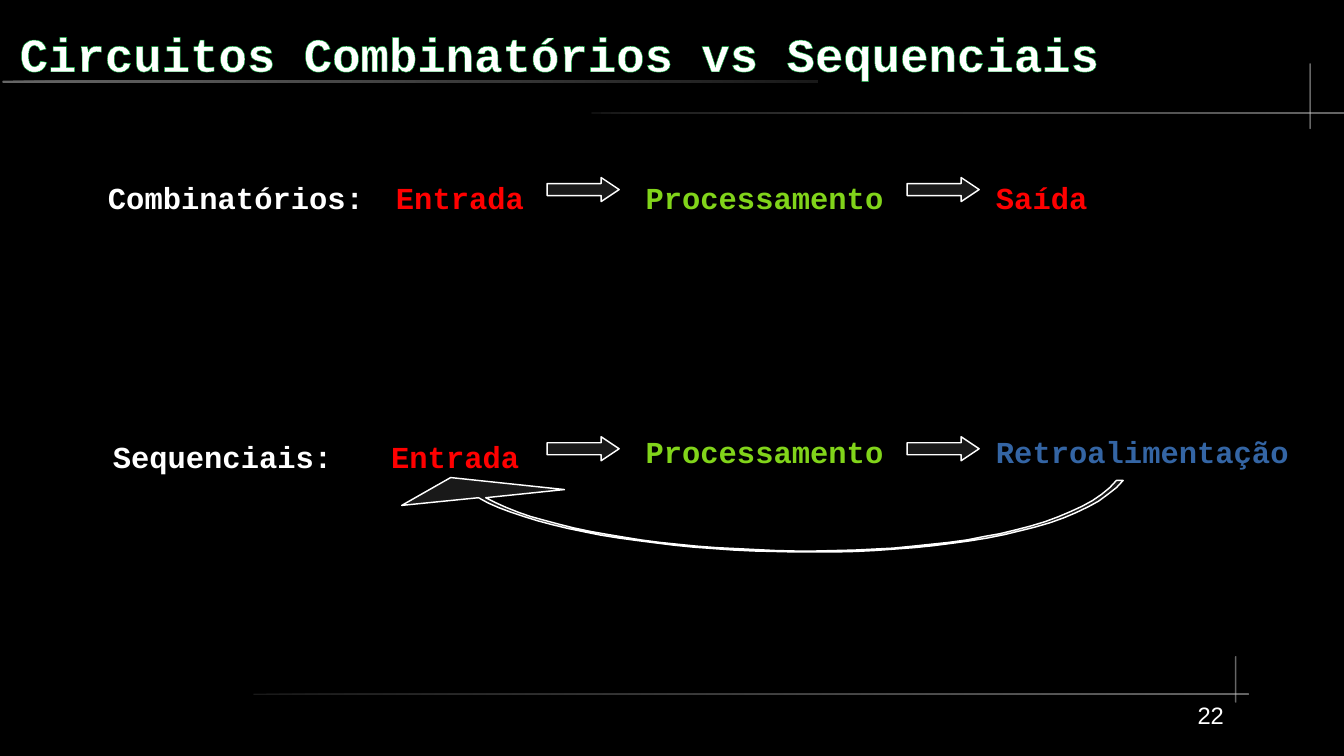
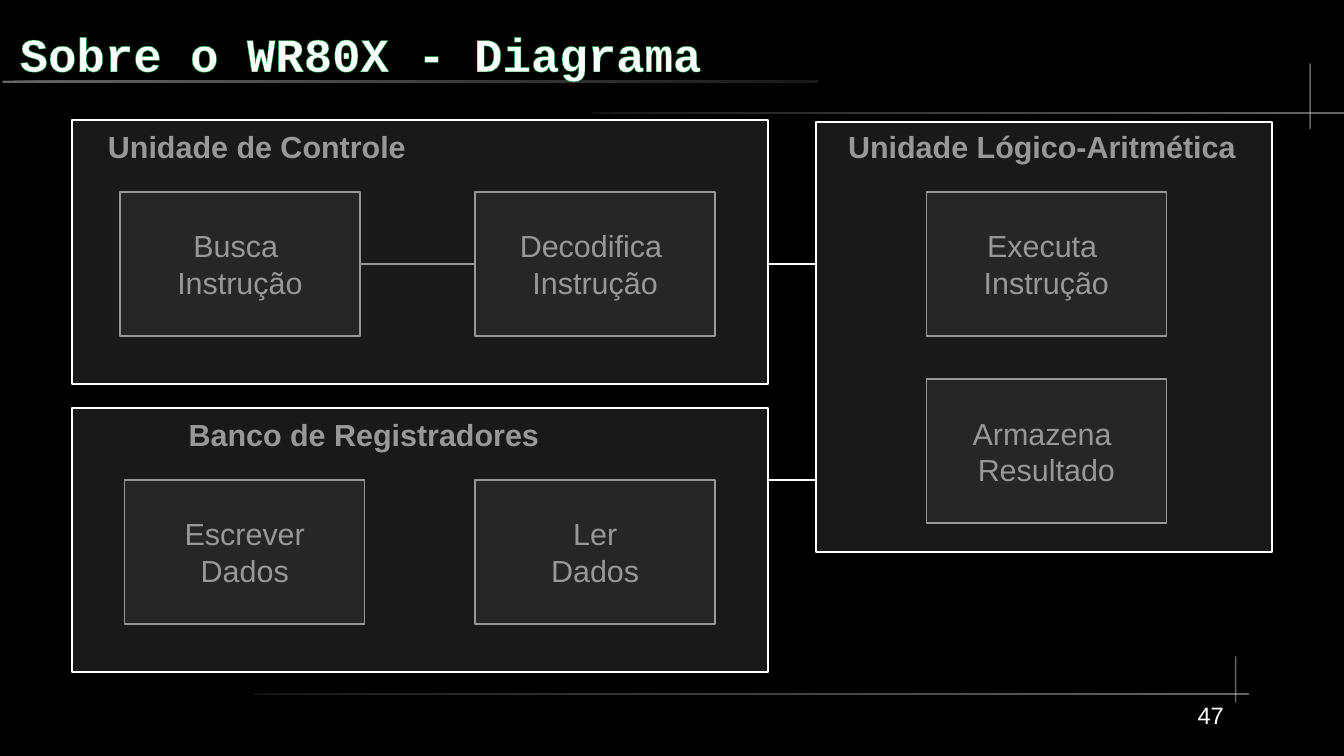
from lxml.etree import SubElement
from pptx import Presentation
from pptx.dml.color import RGBColor
from pptx.enum.shapes import MSO_CONNECTOR, MSO_SHAPE
from pptx.enum.text import MSO_ANCHOR, MSO_AUTO_SIZE, PP_ALIGN
from pptx.oxml.ns import qn
from pptx.util import Cm, Pt

WHITE = "FFFFFF"
DARK = "333333"
LIGHT = "CCCCCC"
RED = "FF0000"
GREEN = "81D41A"
BLUE = "3465A4"
OUTLINE = "00A933"
LINE_WIDTH = Pt(0.85)


def paint(shape, colors, outlined=True):
    shape.shadow.inherit = False
    if len(colors) == 1:
        shape.fill.solid()
        shape.fill.fore_color.rgb = RGBColor.from_string(colors[0])
    else:
        shape.fill.gradient()
        shape.fill.gradient_angle = 0
        for stop, color in zip(shape.fill.gradient_stops, colors):
            stop.color.rgb = RGBColor.from_string(color)
    for color_element in shape.element.spPr.iter(qn("a:srgbClr")):
        SubElement(color_element, qn("a:alpha"), val="50000")
    if outlined:
        shape.line.color.rgb = RGBColor.from_string(WHITE)
        shape.line.width = LINE_WIDTH
    else:
        shape.line.fill.background()


def write(text_frame, text, font_name, size, color=WHITE, bold=False, alignment=PP_ALIGN.LEFT):
    text_frame.text = text
    for paragraph in text_frame.paragraphs:
        paragraph.alignment = alignment
        for run in paragraph.runs:
            run.font.name = font_name
            run.font.size = Pt(size)
            run.font.bold = bold
            run.font.color.rgb = RGBColor.from_string(color)


presentation = Presentation()
presentation.slide_width = Cm(28)
presentation.slide_height = Cm(15.75)

master = presentation.slide_master
master.background.fill.solid()
master.background.fill.fore_color.rgb = RGBColor.from_string("000000")

layout = presentation.slide_layouts[5]
layout_title = layout.placeholders[0]
layout_title.left, layout_title.top = Cm(0.41), Cm(0.2)
layout_title.width, layout_title.height = Cm(26.49), Cm(1.8)

slides = []
for title_text, page_number in [
    ("Circuitos Combinatórios vs Sequenciais", "22"),
    ("Sobre o WR80X - Diagrama", "47"),
]:
    slide = presentation.slides.add_slide(layout)
    slides.append(slide)
    title_frame = slide.shapes.title.text_frame
    write(title_frame, title_text, "Courier New", 28, bold=True)
    title_frame.auto_size = MSO_AUTO_SIZE.NONE
    title_frame.vertical_anchor = MSO_ANCHOR.MIDDLE
    number_box = slide.shapes.add_textbox(Cm(21), Cm(14.6), Cm(4.5), Cm(1.14))
    write(number_box.text_frame, page_number, "Arial", 14, alignment=PP_ALIGN.RIGHT)
    for frame in (title_frame, number_box.text_frame):
        frame.word_wrap = True
        frame.margin_left = frame.margin_right = 0
        frame.margin_top = frame.margin_bottom = 0
    for run_properties in slide.shapes.title.element.iter(qn("a:rPr")):
        text_outline = SubElement(run_properties, qn("a:ln"), w=str(int(Pt(0.75))))
        outline_fill = SubElement(text_outline, qn("a:solidFill"))
        SubElement(outline_fill, qn("a:srgbClr"), val=OUTLINE)
        run_properties.insert(0, text_outline)

circuits, diagram = slides

rules = [
    (0.05, 1.68, 17, 0.05, [LIGHT, DARK]),
    (12.32, 2.34, 15.68, 0.03, [DARK, LIGHT]),
    (27.28, 1.32, 0.03, 1.37, [LIGHT]),
    (5.28, 14.45, 20.73, 0.03, [DARK, LIGHT]),
    (25.73, 13.67, 0.03, 0.97, [LIGHT]),
]
for rule_id, (left, top, width, height, colors) in enumerate(rules, start=20):
    rule = circuits.shapes.add_shape(
        MSO_SHAPE.ROUNDED_RECTANGLE, Cm(left), Cm(top), Cm(width), Cm(height)
    )
    rule.adjustments[0] = 0.5
    paint(rule, colors, outlined=False)
    rule.element.nvSpPr.cNvPr.set("id", str(rule_id))
    master.shapes.element.append(rule.element)

labels = [
    ("Combinatórios:", 2, 3.6, WHITE),
    ("Entrada", 8, 3.6, RED),
    ("Processamento", 13.2, 3.6, GREEN),
    ("Saída", 20.5, 3.6, RED),
    ("Sequenciais:", 2.1, 9, WHITE),
    ("Entrada", 7.9, 9, RED),
    ("Processamento", 13.2, 8.9, GREEN),
    ("Retroalimentação", 20.5, 8.9, BLUE),
]
for text, left, top, color in labels:
    label = circuits.shapes.add_textbox(Cm(left), Cm(top), Cm(7), Cm(1))
    label.text_frame.word_wrap = True
    write(label.text_frame, text, "Courier New", 18, color, bold=True)

for top in (3.7, 9.1):
    for left in (11.4, 18.9):
        arrow = circuits.shapes.add_shape(
            MSO_SHAPE.RIGHT_ARROW, Cm(left), Cm(top), Cm(1.5), Cm(0.5)
        )
        arrow.adjustments[1] = 0.75
        paint(arrow, [DARK])

arrow_points = [(11.76, 10.2), (9.39, 9.95), (8.37, 10.53)]
arrow_curves = [
    [(9.97, 10.37), (12.49, 11.8), (21.65, 12.08), (23.4, 10.01)],
    [(23.26, 10.01), (21.53, 12.03), (12.64, 11.78), (10.12, 10.37)],
]
steps = 40
for curve in arrow_curves:
    for step in range(steps + 1):
        t = step / steps
        weights = [(1 - t) ** 3, 3 * t * (1 - t) ** 2, 3 * t**2 * (1 - t), t**3]
        arrow_points.append(
            tuple(sum(w * point[axis] for w, point in zip(weights, curve)) for axis in (0, 1))
        )
units = [(x * 100, y * 100) for x, y in arrow_points]
builder = circuits.shapes.build_freeform(*units[0], scale=Cm(0.01))
builder.add_line_segments(units[1:], close=True)
paint(builder.convert_to_shape(), [DARK])

panels = [
    ("Unidade de Controle", 2, 2.54, (1.5, 2.5, 14.5, 5.5),
     [("Busca \nInstrução", 2.5, 4), ("Decodifica \nInstrução", 9.9, 4)],
     [(7.5, 5.5, 9.9)]),
    ("Unidade Lógico-Aritmética", 17.42, 2.54, (17, 2.54, 9.5, 8.96),
     [("Executa \nInstrução", 19.3, 4), ("Armazena \nResultado", 19.3, 7.9)],
     []),
    ("Banco de Registradores", 3.68, 8.54, (1.5, 8.5, 14.5, 5.5),
     [("Escrever\nDados", 2.6, 10), ("Ler\nDados", 9.9, 10)],
     [(16, 10, 17), (16, 5.5, 17)]),
]
for heading, heading_left, heading_top, frame, boxes, links in panels:
    for text, left, top in boxes:
        box = diagram.shapes.add_shape(
            MSO_SHAPE.FLOWCHART_PROCESS, Cm(left), Cm(top), Cm(5), Cm(3)
        )
        paint(box, [DARK])
        box.text_frame.word_wrap = False
        box.text_frame.vertical_anchor = MSO_ANCHOR.MIDDLE
        write(box.text_frame, text, "Arial", 18, alignment=PP_ALIGN.CENTER)
    heading_box = diagram.shapes.add_textbox(Cm(heading_left), Cm(heading_top), Cm(9), Cm(0.97))
    heading_box.text_frame.word_wrap = True
    write(heading_box.text_frame, heading, "Arial", 18, bold=True)
    for start, level, end in links:
        link = diagram.shapes.add_connector(
            MSO_CONNECTOR.STRAIGHT, Cm(start), Cm(level), Cm(end), Cm(level)
        )
        link.line.color.rgb = RGBColor.from_string(WHITE)
        link.line.width = LINE_WIDTH
        SubElement(link.element.spPr, qn("a:effectLst"))
    panel = diagram.shapes.add_shape(MSO_SHAPE.RECTANGLE, *[Cm(length) for length in frame])
    paint(panel, [DARK])

presentation.save("out.pptx")
